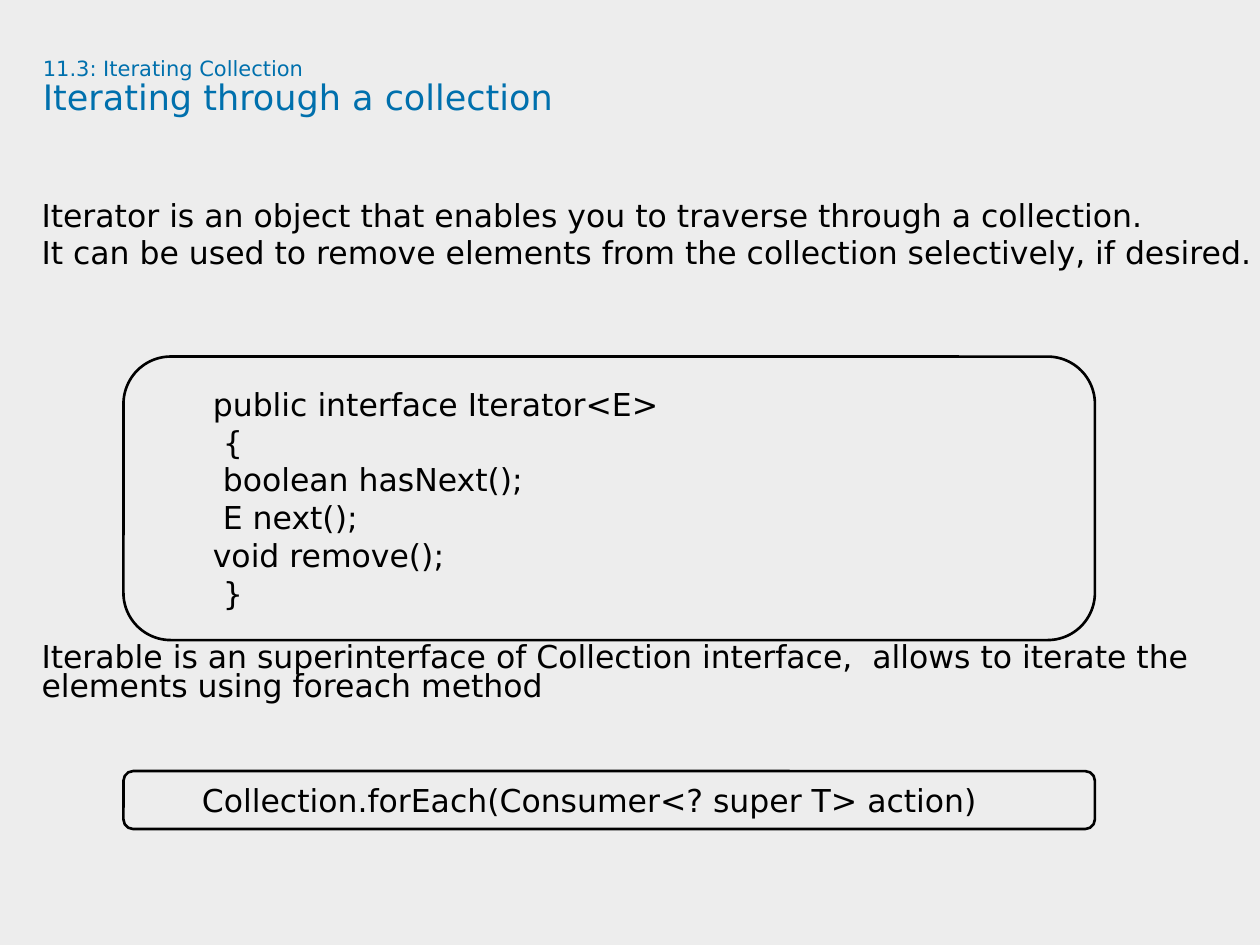
"""Build the slide about iterating through a collection."""
import pptx
import pptx.util
import pptx.dml.color
import pptx.enum.shapes
import pptx.enum.text

Inches, Pt = pptx.util.Inches, pptx.util.Pt
RGBColor = pptx.dml.color.RGBColor

FONT = "DejaVu Sans"
BLUE = RGBColor(0x00, 0x70, 0xAD)
BLACK = RGBColor(0, 0, 0)
PALE_GREY = RGBColor(0xED, 0xED, 0xED)

TITLE_LINES = [("11.3: Iterating Collection", 12), ("Iterating through a collection", 20)]
LINE_HEIGHT, LINE_GAP = 16.5, 4.5
ROOM_FOR_CODE = 10 * (LINE_HEIGHT + LINE_GAP)
STATEMENTS = [
    ("Iterator is an object that enables you to traverse through a collection.", 0),
    ("It can be used to remove elements from the collection selectively, if desired.", 0),
    ("Iterable is an superinterface of Collection interface,  allows to iterate the "
     "elements using foreach method", ROOM_FOR_CODE),
]
CODE_LEFT, CODE_WIDTH = 0.98, 7.71
CODE_PANELS = [
    (2.83, 2.25, ["public interface Iterator<E>", " {", " boolean hasNext();",
                  " E next();", "void remove();", " }"]),
    (6.12, 0.46, ["Collection.forEach(Consumer<? super T> action)"]),
]


def style(font, size, colour):
    font.name, font.size = FONT, Pt(size)
    font.color.rgb = colour


def clear_margins(frame):
    frame.margin_left = frame.margin_right = frame.margin_top = frame.margin_bottom = 0
    frame.word_wrap = True
    frame.auto_size = pptx.enum.text.MSO_AUTO_SIZE.NONE
    frame.vertical_anchor = pptx.enum.text.MSO_ANCHOR.TOP


def paragraphs(frame, count):
    return [frame.paragraphs[0]] + [frame.add_paragraph() for _ in range(count - 1)]


def add_title(slide):
    title = slide.shapes.title
    title.left, title.top, title.width, title.height = map(Inches, (0.34, 0.46, 9.09, 0.94))
    clear_margins(title.text_frame)
    heading = title.text_frame.paragraphs[0]
    heading.alignment = pptx.enum.text.PP_ALIGN.LEFT
    heading.line_spacing = 0.9
    for index, (text, size) in enumerate(TITLE_LINES):
        if index:
            heading.add_line_break()
        run = heading.add_run()
        run.text = text
        style(run.font, size, BLUE)


def add_statements(slide):
    frame = slide.shapes.add_textbox(*map(Inches, (0.33, 1.63, 9.67, 5.08))).text_frame
    clear_margins(frame)
    for paragraph, (text, before) in zip(paragraphs(frame, len(STATEMENTS)), STATEMENTS):
        paragraph.text = text
        paragraph.line_spacing = Pt(LINE_HEIGHT)
        paragraph.space_before, paragraph.space_after = Pt(before), Pt(LINE_GAP)
        style(paragraph.font, 18, BLACK)


def add_code(slide, top, height, lines):
    panel = slide.shapes.add_shape(
        pptx.enum.shapes.MSO_SHAPE.ROUNDED_RECTANGLE,
        *map(Inches, (CODE_LEFT, top, CODE_WIDTH, height)))
    panel.shadow.inherit = False
    panel.fill.background()
    panel.line.color.rgb = BLACK
    panel.line.width = Pt(1.5)
    frame = panel.text_frame
    frame.margin_left = Inches(0.6)
    frame.word_wrap = True
    frame.vertical_anchor = pptx.enum.text.MSO_ANCHOR.MIDDLE
    for paragraph, line in zip(paragraphs(frame, len(lines)), lines):
        paragraph.text = line
        paragraph.alignment = pptx.enum.text.PP_ALIGN.LEFT
        style(paragraph.font, 18, BLACK)


def main():
    deck = pptx.Presentation()
    deck.slide_width, deck.slide_height = Inches(10), Inches(7.5)
    slide = deck.slides.add_slide(deck.slide_layouts.get_by_name("Title Only"))
    slide.background.fill.solid()
    slide.background.fill.fore_color.rgb = PALE_GREY
    add_title(slide)
    add_statements(slide)
    for top, height, lines in CODE_PANELS:
        add_code(slide, top, height, lines)
    deck.save("out.pptx")


if __name__ == "__main__":
    main()
